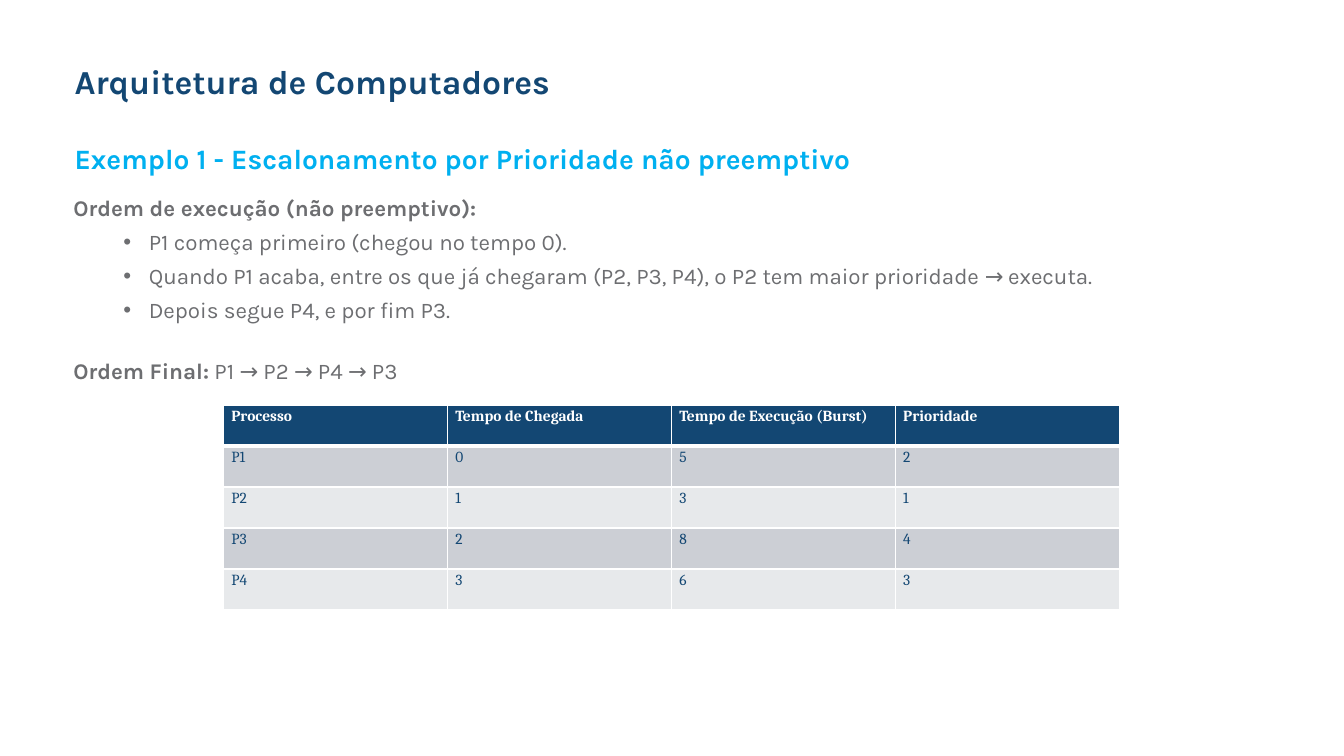
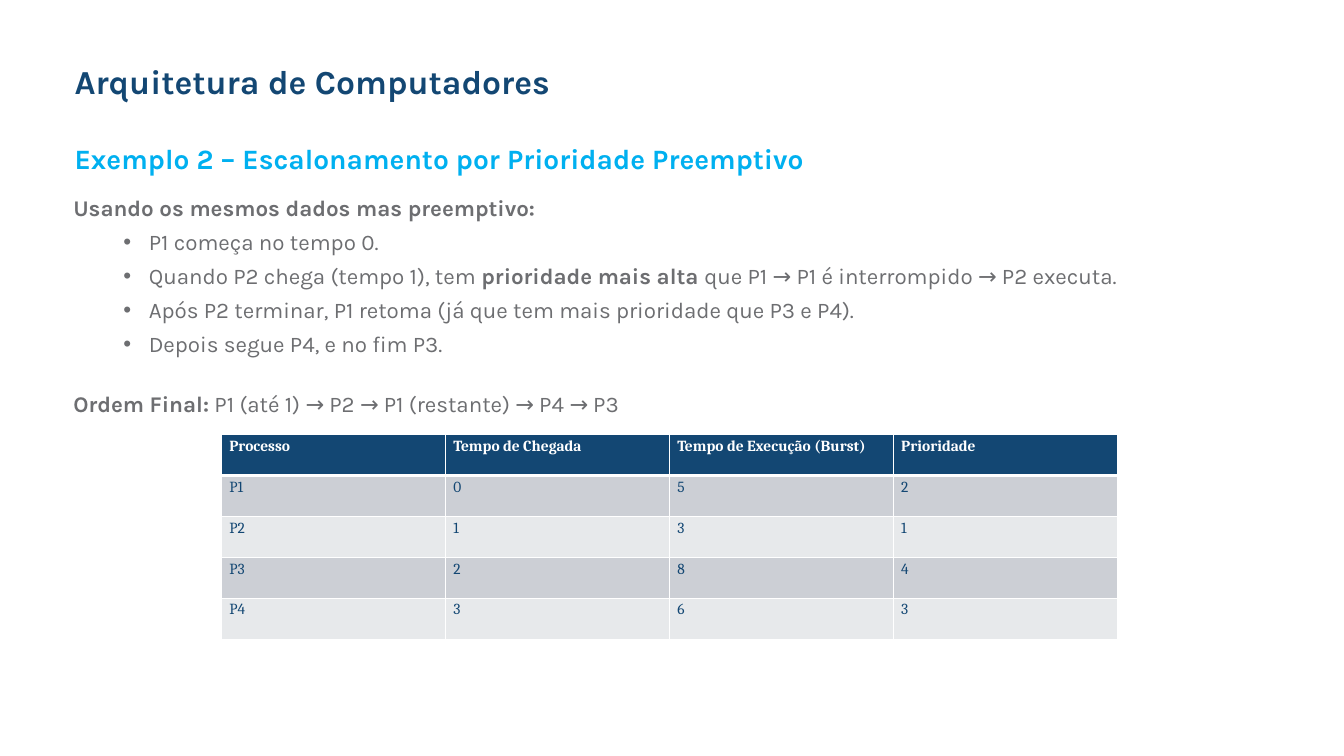
from lxml.etree import SubElement
from pptx import Presentation
from pptx.dml.color import RGBColor
from pptx.enum.text import MSO_ANCHOR as Anchor
from pptx.oxml import parse_xml
from pptx.oxml.ns import nsdecls, qn
from pptx.util import Cm, Pt

NAVY = RGBColor(0x13, 0x47, 0x73)
SKY = RGBColor(0x00, 0xB0, 0xF0)
GRAY = RGBColor(0x6D, 0x6E, 0x71)
WHITE = RGBColor(0xFF, 0xFF, 0xFF)
DARK = RGBColor(0xCC, 0xCF, 0xD5)
LIGHT = RGBColor(0xE7, 0xE9, 0xEB)

SANS = "Karla"
SERIF = "Cambria"
TITLE = "Arquitetura de Computadores"

ROWS = [
    ("Processo", "Tempo de Chegada", "Tempo de Execução (Burst)", "Prioridade"),
    ("P1", "0", "5", "2"),
    ("P2", "1", "3", "1"),
    ("P3", "2", "8", "4"),
    ("P4", "3", "6", "3"),
]

SLIDES = [
    {
        "head": "Exemplo 1 - Escalonamento por Prioridade não preemptivo",
        "lead": "Ordem de execução (não preemptivo):",
        "items": [
            "P1 começa primeiro (chegou no tempo 0).",
            "Quando P1 acaba, entre os que já chegaram (P2, P3, P4), "
            "o P2 tem maior prioridade → executa.",
            "Depois segue P4, e por fim P3.",
        ],
        "order": " P1 → P2 → P4 → P3",
        "table": (5.64, 10.21),
    },
    {
        "head": "Exemplo 2 – Escalonamento por Prioridade Preemptivo",
        "lead": "Usando os mesmos dados mas preemptivo:",
        "items": [
            "P1 começa no tempo 0.",
            "Quando P2 chega (tempo 1), tem *prioridade mais alta *"
            "que P1 → P1 é interrompido → P2 executa.",
            "Após P2 terminar, P1 retoma (já que tem mais prioridade que P3 e P4).",
            "Depois segue P4, e no fim P3.",
        ],
        "order": " P1 (até 1) → P2 → P1 (restante) → P4 → P3",
        "table": (5.59, 10.95),
    },
]


def style(run, size, color, bold, face=SANS):
    font = run.font
    font.size = Pt(size)
    font.name = face
    font.bold = bold
    font.color.rgb = color


def add_box(slide, left, top, width, height, anchor=Anchor.MIDDLE):
    box = slide.shapes.add_textbox(Cm(left), Cm(top), Cm(width), Cm(height))
    frame = box.text_frame
    frame.word_wrap = True
    frame.vertical_anchor = anchor
    return frame


def add_head(slide, text, size, color, *place):
    frame = add_box(slide, *place)
    frame.text = text
    style(frame.paragraphs[0].runs[0], size, color, True)


def write(par, text):
    for i, part in enumerate(text.split("*")):
        if part:
            run = par.add_run()
            run.text = part
            style(run, 16, GRAY, i % 2 == 1)


def set_bullet(par):
    par.space_before = Pt(5)
    props = par._p.get_or_add_pPr()
    props.set("marL", str(Cm(1.9)))
    props.set("indent", str(-Cm(0.64)))
    SubElement(props, qn("a:buFont")).set("typeface", "Arial")
    SubElement(props, qn("a:buChar")).set("char", "•")


def add_body(slide, lead, items, order):
    frame = add_box(slide, 1.6, 4.78, 30.56, 12.37, Anchor.TOP)
    write(frame.paragraphs[0], f"*{lead}*")
    for item in items:
        par = frame.add_paragraph()
        write(par, item)
        set_bullet(par)
    last = frame.add_paragraph()
    last.space_before = Pt(24)
    write(last, f"*Ordem Final:*{order}")


def set_edges(cell, row):
    widths = {"L": 1, "R": 1, "T": 3 if row == 1 else 1, "B": 3 if row == 0 else 1}
    props = cell._tc.get_or_add_tcPr()
    for i, (side, width) in enumerate(widths.items()):
        edge = parse_xml(
            f'<a:ln{side} {nsdecls("a")} w="{Pt(width)}"><a:solidFill>'
            f'<a:srgbClr val="{WHITE}"/></a:solidFill></a:ln{side}>'
        )
        props.insert(i, edge)


def fill_cell(cell, text, row):
    cell.text = text
    cell.margin_left = cell.margin_right = Cm(0.19)
    cell.margin_top = cell.margin_bottom = 0
    par = cell.text_frame.paragraphs[0]
    par.line_spacing = 1.15
    par.space_after = Pt(10)
    style(par.runs[0], 11, NAVY if row else WHITE, row == 0, SERIF)
    cell.fill.solid()
    cell.fill.fore_color.rgb = (DARK if row % 2 else LIGHT) if row else NAVY
    set_edges(cell, row)


def add_grid(slide, left, top):
    frame = slide.shapes.add_table(
        len(ROWS), len(ROWS[0]), Cm(left), Cm(top), Cm(22.58), Cm(5.16)
    )
    table = frame.table
    table.first_row = table.horz_banding = False
    for r, row in enumerate(ROWS):
        for c, text in enumerate(row):
            fill_cell(table.cell(r, c), text, r)


def main():
    deck = Presentation()
    deck.slide_width, deck.slide_height = Cm(33.87), Cm(19.05)
    for data in SLIDES:
        slide = deck.slides.add_slide(deck.slide_layouts[6])
        add_head(slide, TITLE, 24, NAVY, 1.63, 1.09, 26.34, 1.9)
        add_body(slide, data["lead"], data["items"], data["order"])
        add_head(slide, data["head"], 20, SKY, 1.63, 3.4, 30.53, 1.17)
        add_grid(slide, *data["table"])
    deck.save("out.pptx")


if __name__ == "__main__":
    main()
